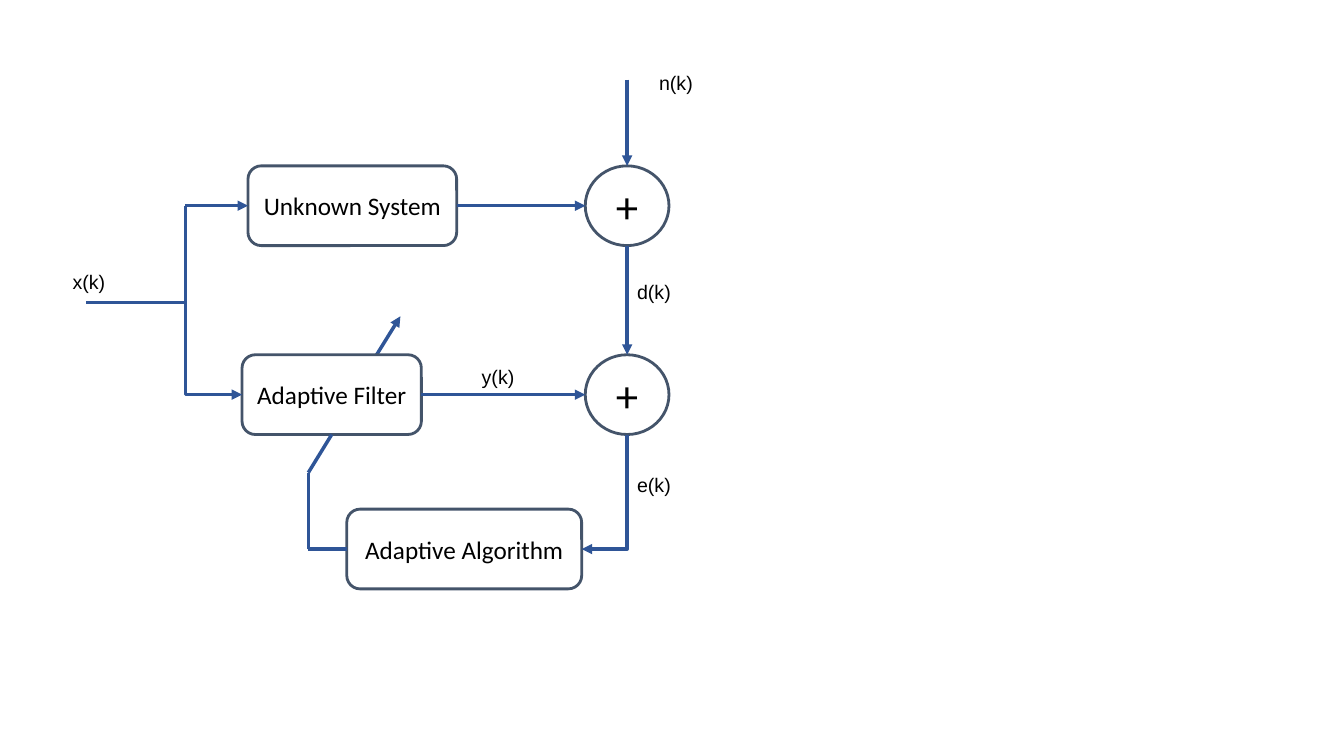
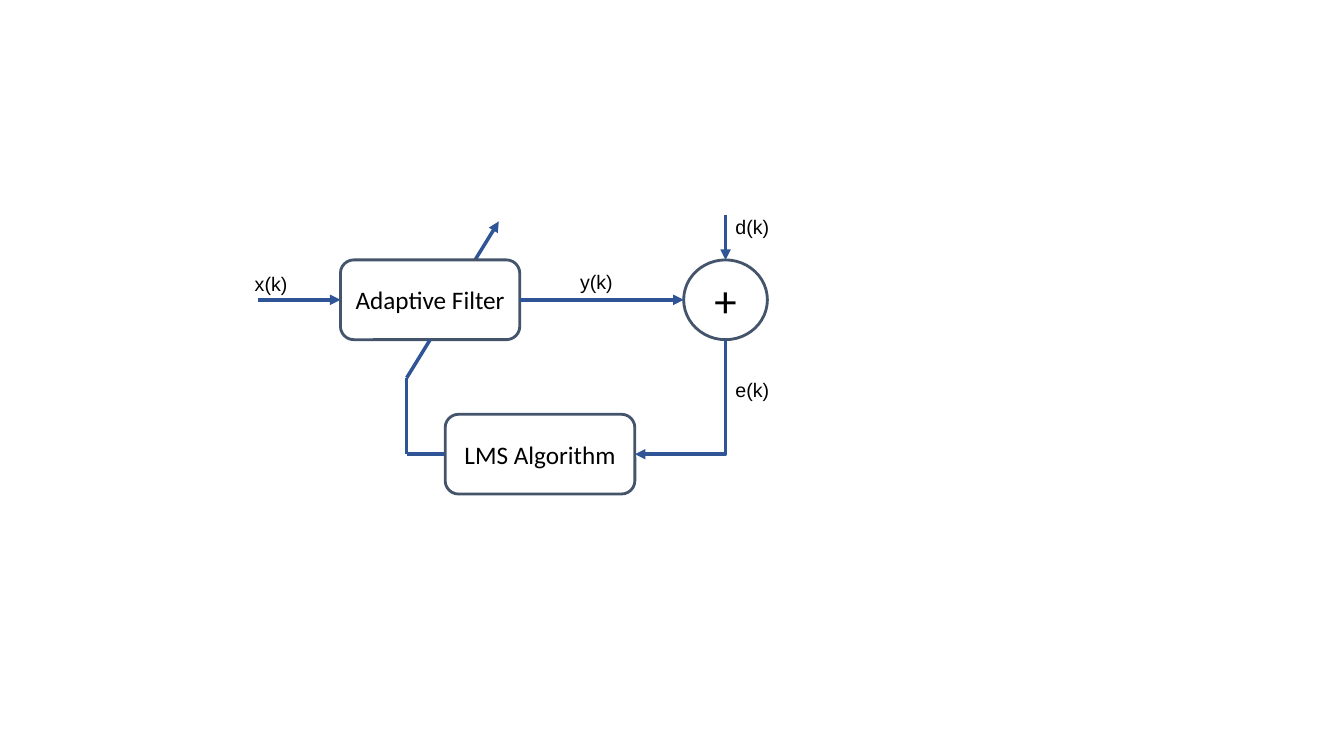
from dataclasses import dataclass

from pptx import Presentation
from pptx.dml.color import RGBColor
from pptx.enum import shapes, text
from pptx.oxml.ns import qn
from pptx.util import Cm, Pt
from lxml import etree

WHITE = RGBColor(0xFF, 0xFF, 0xFF)
BLACK = RGBColor(0, 0, 0)
SLATE = RGBColor(0x44, 0x54, 0x6A)
BLUE = RGBColor(0x2F, 0x55, 0x97)
ROUND = shapes.MSO_SHAPE.ROUNDED_RECTANGLE
OVAL = shapes.MSO_SHAPE.OVAL
WIRE = shapes.MSO_CONNECTOR
HIGH = 2.01    # height of every block, cm
SUM = 2.11     # width of a summing node, cm
REACH = 8.65   # from filter's left edge to summing node, cm


@dataclass
class Box:
    """Block frame in cm, with the middle of each side as a point."""
    x: float
    y: float
    w: float
    h: float = HIGH

    @property
    def left(self):
        return self.x, self.y + self.h / 2

    @property
    def right(self):
        return self.x + self.w, self.y + self.h / 2

    @property
    def top(self):
        return self.x + self.w / 2, self.y

    @property
    def base(self):
        return self.x + self.w / 2, self.y + self.h


# Text
def write(frame, words, size=14, font="Arial", align=text.PP_ALIGN.LEFT):
    para = frame.paragraphs[0]
    para.alignment = align
    run = para.add_run()
    run.text = words
    run.font.size = Pt(size)
    run.font.name = font
    run.font.color.rgb = BLACK


def label(slide, words, x, y):
    frame = slide.shapes.add_textbox(Cm(x), Cm(y), Cm(1.37), Cm(0.86)).text_frame
    frame.word_wrap = False
    frame.auto_size = text.MSO_AUTO_SIZE.SHAPE_TO_FIT_TEXT
    write(frame, words)


# Blocks
def block(slide, words, box, kind=ROUND, size=18):
    shape = slide.shapes.add_shape(kind, Cm(box.x), Cm(box.y), Cm(box.w), Cm(box.h))
    shape.shadow.inherit = False
    shape.fill.solid()
    shape.fill.fore_color.rgb = WHITE
    shape.line.color.rgb = SLATE
    shape.line.width = Pt(2)
    frame = shape.text_frame
    frame.word_wrap = True
    frame.vertical_anchor = text.MSO_ANCHOR.MIDDLE
    write(frame, words, size=size, font="Calibri", align=text.PP_ALIGN.CENTER)
    return box


def adder(slide, x, y):
    return block(slide, "+", Box(x, y, SUM), kind=OVAL, size=32)


# Wires
def wire(slide, start, end, head=True, kind=WIRE.STRAIGHT):
    line = slide.shapes.add_connector(kind, *(Cm(v) for v in (*start, *end)))
    line.line.color.rgb = BLUE
    line.line.width = Pt(2.5)
    if head:
        tail = etree.SubElement(line.line._get_or_add_ln(), qn("a:tailEnd"))
        tail.set("type", "triangle")
    etree.SubElement(line._element.spPr, qn("a:effectLst"))
    return line


def bend(slide, start, end):
    """Arrow that runs down, then sideways: a turned one-corner connector."""
    (x1, y1), (x2, y2) = start, end
    midx, midy = (x1 + x2) / 2, (y1 + y2) / 2
    half, rise = (y2 - y1) / 2, abs(x2 - x1) / 2
    right = x2 > x1
    if right:
        half = -half
    line = wire(slide, (midx - half, midy - rise), (midx + half, midy + rise),
                kind=WIRE.ELBOW)
    form = line._element.spPr
    form.find(qn("a:xfrm")).set("rot", str((270 if right else 90) * 60000))
    form.find(qn("a:prstGeom")).set("prst", "bentConnector2")


# Loop of filter, summing node and algorithm; x, y is the filter's corner
def loop(slide, x, y, name, width):
    wire(slide, (x + 3.33, y + 0.1), (x + 3.99, y - 0.97))
    filt = block(slide, "Adaptive Filter", Box(x, y, 4.52))
    add = adder(slide, x + REACH, y)
    algo = block(slide, name, Box(x + 2.64, y + 3.89, width))
    wire(slide, filt.right, add.left)
    bend(slide, add.base, algo.right)
    turn = x + 1.67
    route = [algo.left, (turn, algo.left[1]), (turn, y + 2.97), (x + 2.26, y + HIGH)]
    for start, end in zip(route, route[1:]):
        wire(slide, start, end, head=False)
    label(slide, "y(k)", x + 5.79, y + 0.13)
    label(slide, "e(k)", add.base[0], y + 2.84)
    return filt, add


# System identification diagram
def identify(slide, x, y):
    filt, add = loop(slide, x, y, "Adaptive Algorithm", 5.92)
    plant = block(slide, "Unknown System", Box(x + 0.15, y - 4.76, 5.26))
    noise = adder(slide, add.x, plant.y)
    wire(slide, plant.right, noise.left)
    wire(slide, (noise.top[0], y - 6.93), noise.top)
    wire(slide, noise.base, add.top)
    fork = x - 1.43
    split = fork, plant.left[1]
    wire(slide, split, plant.left)
    bend(slide, split, filt.left)
    wire(slide, (fork, y - 1.32), (x - 3.94, y - 1.32), head=False)
    label(slide, "n(k)", x + 10.26, y - 7.29)
    label(slide, "x(k)", x - 4.52, y - 2.26)
    label(slide, "d(k)", noise.base[0], y - 2.01)


# LMS filter diagram
def adapt(slide, x, y):
    filt, add = loop(slide, x, y, "LMS Algorithm", 4.78)
    wire(slide, (x - 2.08, filt.left[1]), filt.left)
    wire(slide, (add.top[0], y - 1.14), add.top)
    label(slide, "x(k)", x - 2.41, y + 0.18)
    label(slide, "d(k)", add.top[0], y - 1.27)


deck = Presentation()
deck.slide_width, deck.slide_height = Cm(33.87), Cm(19.05)
for draw, x, y in ((identify, 6.1, 8.94), (adapt, 8.58, 6.55)):
    draw(deck.slides.add_slide(deck.slide_layouts[6]), x, y)
deck.save("out.pptx")
